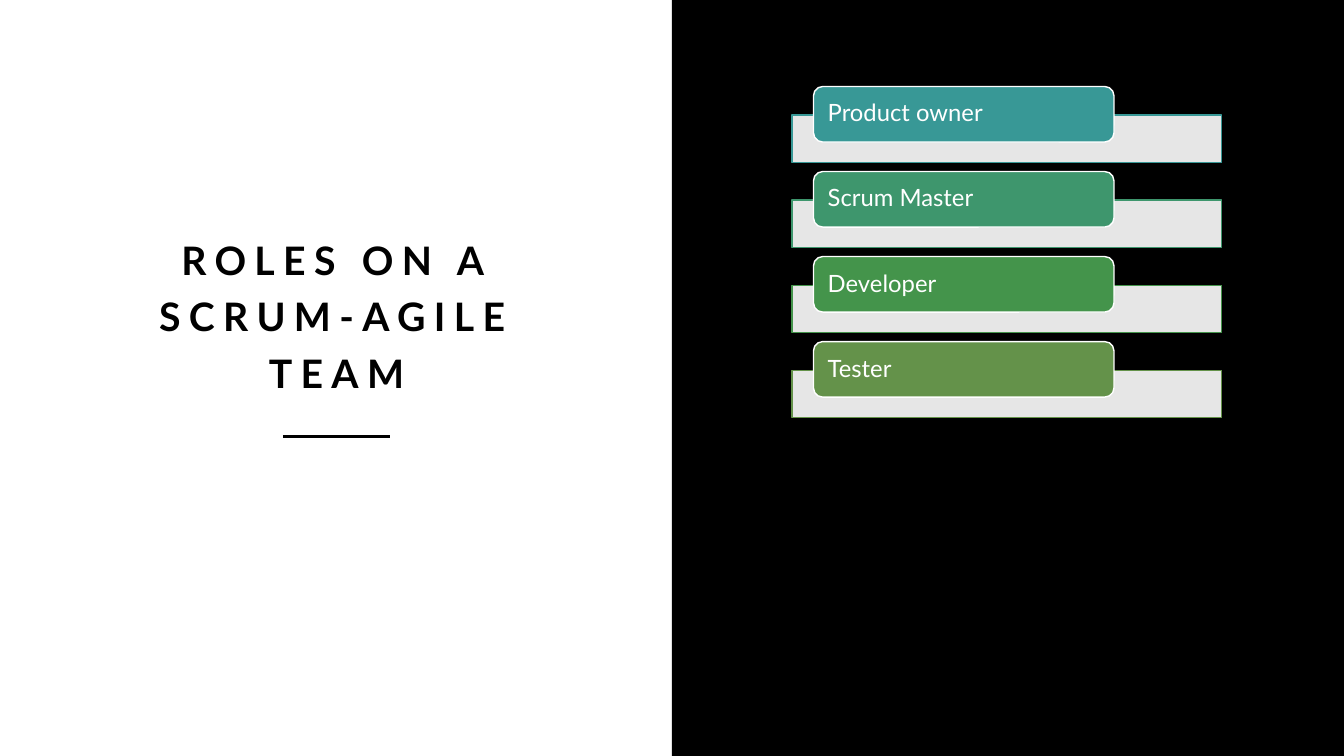
import dataclasses

import pptx
import pptx.dml.color
import pptx.enum.shapes
import pptx.enum.text
import pptx.oxml.ns
import pptx.util
from lxml import etree

Cm = pptx.util.Cm
Pt = pptx.util.Pt
SHAPES = pptx.enum.shapes.MSO_SHAPE
ANCHORS = pptx.enum.text.MSO_ANCHOR


@dataclasses.dataclass(frozen=True)
class Theme:
    """Colours, font and type sizes of the deck."""
    font: str = "Lato"
    dark: str = "000000"
    light: str = "FFFFFF"
    title_size: float = 28
    role_size: float = 17
    letter_spacing: float = 6
    bar_opacity: int = 90


@dataclasses.dataclass(frozen=True)
class Box:
    """A rectangle on the page, in centimetres."""
    left: float
    top: float
    width: float
    height: float

    def lengths(self):
        """Return the rectangle as slide lengths."""
        return Cm(self.left), Cm(self.top), Cm(self.width), Cm(self.height)


THEME = Theme()
ROLES = [
    ("Product owner", "389896"),
    ("Scrum Master", "3E966D"),
    ("Developer", "44944B"),
    ("Tester", "64924A"),
]


def rgb(value):
    """Turn a hex string into a colour."""
    return pptx.dml.color.RGBColor.from_string(value)


def add_panel(page, kind, box, fill, outline=None):
    """Add a filled shape without shadow, outlined on request."""
    shape = page.shapes.add_shape(kind, *box.lengths())
    shape.shadow.inherit = False
    shape.fill.solid()
    shape.fill.fore_color.rgb = rgb(fill)
    if outline:
        shape.line.color.rgb = rgb(outline)
        shape.line.width = Pt(1)
    else:
        shape.line.fill.background()
    return shape


def set_opacity(shape, percent):
    """Make the solid fill of a shape partly transparent."""
    colour = shape.fill._xPr.find(".//" + pptx.oxml.ns.qn("a:srgbClr"))
    alpha = etree.SubElement(colour, pptx.oxml.ns.qn("a:alpha"))
    alpha.set("val", str(percent * 1000))


def add_span(para, text, size, colour, bold=False):
    """Add one styled run to a paragraph."""
    span = para.add_run()
    span.text = text
    span.font.name = THEME.font
    span.font.size = Pt(size)
    span.font.bold = bold
    span.font.color.rgb = rgb(colour)
    return span


def add_title(page, box, text):
    """Place the spaced title in the box and a short rule below it."""
    frame = page.shapes.add_textbox(*box.lengths()).text_frame
    frame.word_wrap = True
    frame.vertical_anchor = ANCHORS.BOTTOM
    para = frame.paragraphs[0]
    para.alignment = pptx.enum.text.PP_ALIGN.CENTER
    para.line_spacing = 1.2
    span = add_span(para, text, THEME.title_size, THEME.dark, bold=True)
    span._r.get_or_add_rPr().set("spc", str(int(THEME.letter_spacing * 100)))

    middle = box.left + box.width / 2
    level = Cm(box.top + box.height + 0.89)
    rule = page.shapes.add_connector(
        pptx.enum.shapes.MSO_CONNECTOR.STRAIGHT,
        Cm(middle - 1.35), level, Cm(middle + 1.35), level)
    rule.line.color.rgb = rgb(THEME.dark)
    rule.line.width = Pt(2.5)
    etree.SubElement(rule._element.spPr, pptx.oxml.ns.qn("a:effectLst"))


def add_role(page, box, name, colour):
    """Place a pale bar at the foot of the box and a named tab over it."""
    bar_height = 1.19
    bar_box = Box(box.left, box.top + box.height - bar_height, box.width, bar_height)
    bar = add_panel(page, SHAPES.RECTANGLE, bar_box, THEME.light, colour)
    set_opacity(bar, THEME.bar_opacity)

    tab_box = Box(box.left + box.width * 0.05, box.top, box.width * 0.7, 1.4)
    tab = add_panel(page, SHAPES.ROUNDED_RECTANGLE, tab_box, colour, THEME.light)
    frame = tab.text_frame
    frame.word_wrap = True
    frame.vertical_anchor = ANCHORS.MIDDLE
    frame.margin_left = frame.margin_right = Cm(0.29)
    frame.margin_top = frame.margin_bottom = 0
    para = frame.paragraphs[0]
    para.alignment = pptx.enum.text.PP_ALIGN.LEFT
    para.line_spacing = 0.9
    add_span(para, name, THEME.role_size, THEME.light)


def add_role_list(page, box, roles):
    """Stack the roles at equal steps down the box."""
    gap = 0.23
    step = (box.height + gap) / len(roles)
    for index, (name, colour) in enumerate(roles):
        row = Box(box.left, box.top + index * step, box.width, step - gap)
        add_role(page, row, name, colour)


def main():
    """Build the slide and save the deck."""
    deck = pptx.Presentation()
    deck.slide_width, deck.slide_height = Cm(33.87), Cm(19.05)
    page = deck.slides.add_slide(deck.slide_layouts[6])
    half = 33.87 / 2
    add_panel(page, SHAPES.RECTANGLE, Box(half, 0, half, 19.05), THEME.dark)
    add_title(page, Box(3.02, 3.99, 10.92, 6.12), "ROLES ON A SCRUM-AGILE TEAM")
    add_role_list(page, Box(19.96, 2.18, 10.82, 8.34), ROLES)
    deck.save("out.pptx")


if __name__ == "__main__":
    main()
